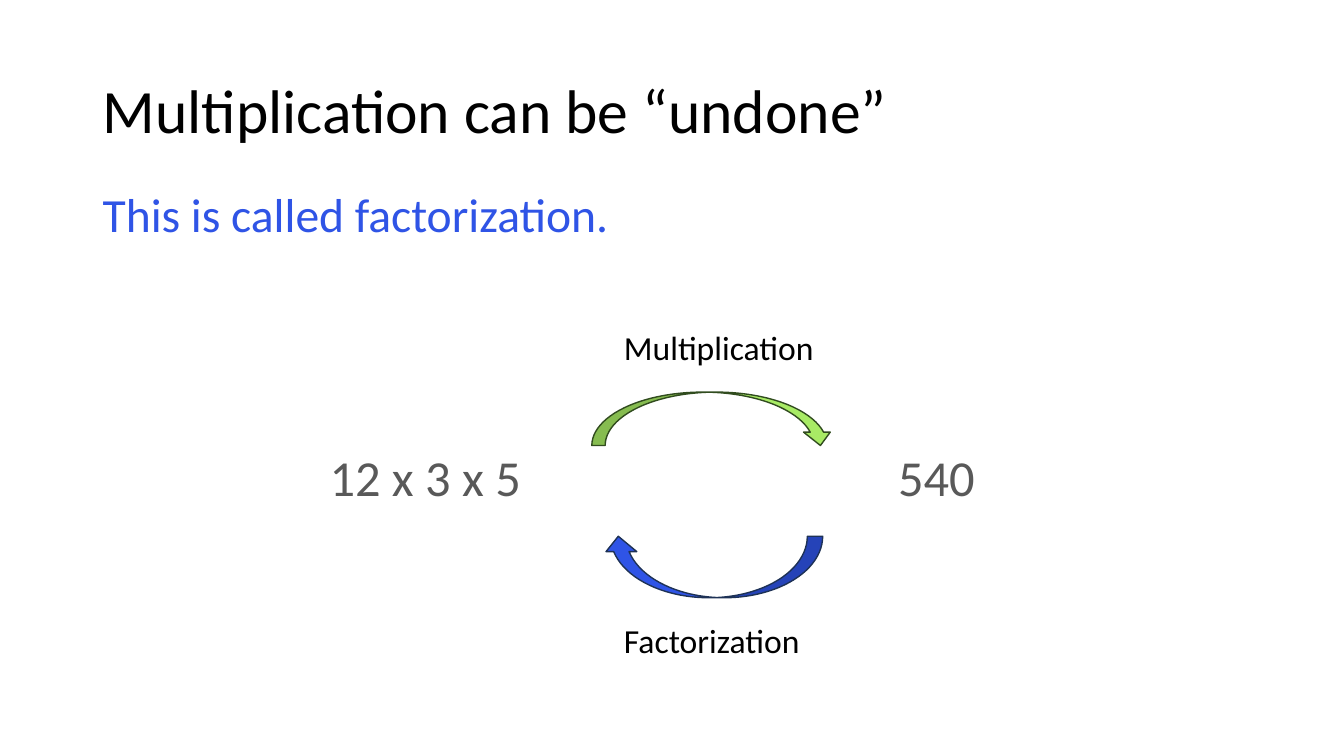
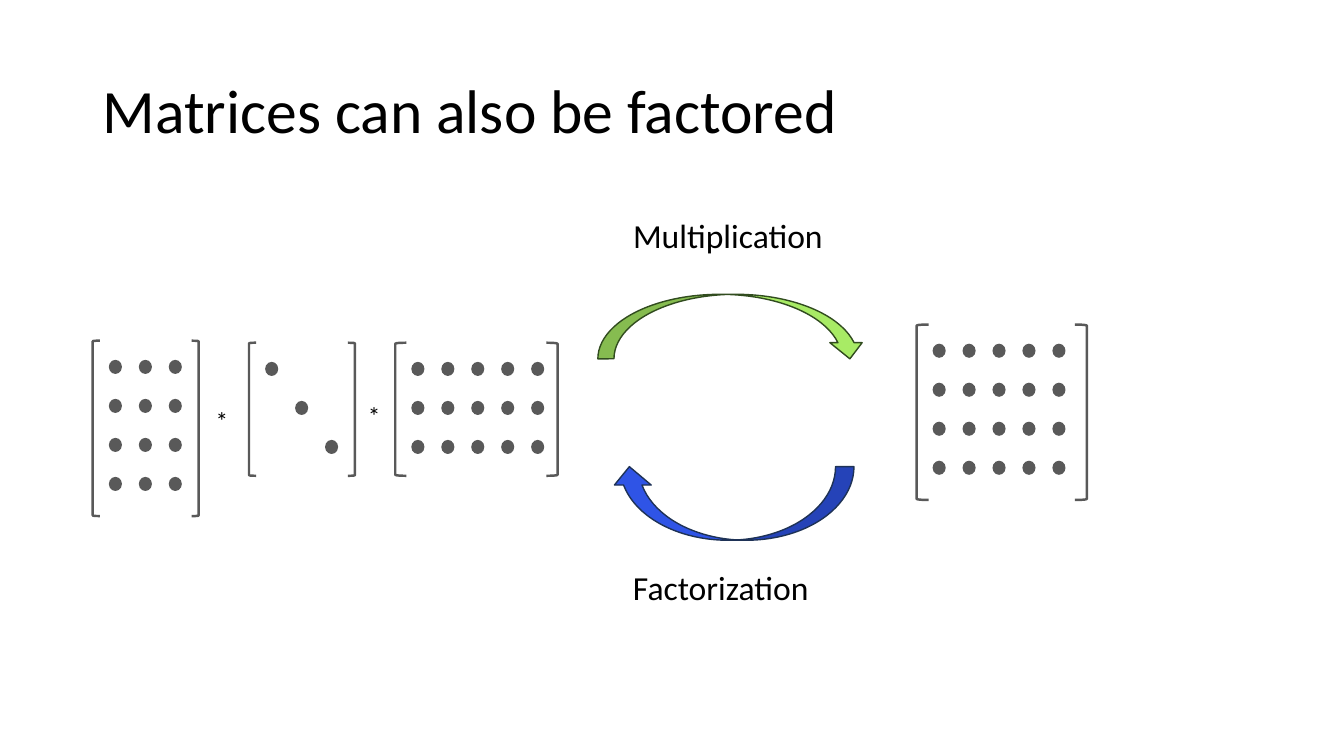
"""Build two slides showing factorization as the reverse of multiplication."""
from pptx import Presentation
from pptx.dml.color import RGBColor
from pptx.enum.shapes import MSO_SHAPE
from pptx.enum.text import MSO_ANCHOR
from pptx.util import Inches, Pt

FONT = "Calibri"
BLACK = RGBColor(0x00, 0x00, 0x00)
GRAY = RGBColor(0x59, 0x59, 0x59)
BLUE = RGBColor(0x2F, 0x54, 0xE6)
NAVY = RGBColor(0x1E, 0x32, 0x56)
LIME = RGBColor(0xA8, 0xEB, 0x65)
DARK_GREEN = RGBColor(0x31, 0x4C, 0x1F)

DOT_WIDTH, DOT_HEIGHT = 0.13, 0.14
COLUMN_STEP, ROW_STEP = 0.297, 0.387
DOT_INSET_X, DOT_INSET_Y = 0.16, 0.19


def add_text(page, text, area, size, color=BLACK, spacing=1.0, anchor=MSO_ANCHOR.TOP):
    box = page.shapes.add_textbox(*[Inches(length) for length in area])
    frame = box.text_frame
    frame.word_wrap = True
    frame.vertical_anchor = anchor
    frame.text = text
    para = frame.paragraphs[0]
    para.line_spacing = spacing
    font = para.runs[0].font
    font.name, font.size, font.color.rgb = FONT, Pt(size), color


def add_figure(shapes, kind, area, fill=None, line=None, weight=1):
    shape = shapes.add_shape(kind, *[Inches(length) for length in area])
    shape.shadow.inherit = False
    if fill is None:
        shape.fill.background()
    else:
        shape.fill.solid()
        shape.fill.fore_color.rgb = fill
    if line is None:
        shape.line.fill.background()
    else:
        shape.line.color.rgb = line
        shape.line.width = Pt(weight)
    return shape


deck = Presentation()
deck.slide_width, deck.slide_height = Inches(13.33), Inches(7.5)

cycles = [
    ("Multiplication can be “undone”",
     (6.09, 3.19, 2.18, 0.5), (5.87, 3.89, 2.4, 0.53),
     (5.98, 5.32, 2.18, 0.61), (6.09, 6.1, 1.95, 0.5)),
    ("Matrices can also be factored",
     (6.18, 2.08, 2.41, 0.61), (5.93, 2.92, 2.66, 0.64),
     (6.06, 4.63, 2.41, 0.73), (6.18, 5.57, 2.17, 0.61)),
]
for title, upper_label, upper_arrow, lower_arrow, lower_label in cycles:
    page = deck.slides.add_slide(deck.slide_layouts[6])
    add_text(page, title, (0.92, 0.4, 11.5, 1.45), 44, spacing=0.9, anchor=MSO_ANCHOR.MIDDLE)
    add_text(page, "Multiplication", upper_label, 24)
    add_figure(page.shapes, MSO_SHAPE.CURVED_DOWN_ARROW, upper_arrow, LIME, DARK_GREEN)
    backward = add_figure(page.shapes, MSO_SHAPE.CURVED_UP_ARROW, lower_arrow, BLUE, NAVY)
    backward._element.spPr.xfrm.set("flipH", "1")
    add_text(page, "Factorization", lower_label, 24)

number_page, matrix_page = deck.slides

add_text(number_page, "This is called factorization.", (0.92, 1.85, 11.5, 0.76), 34, BLUE, 0.9)
add_text(number_page, "12 x 3 x 5", (3.17, 4.38, 2.5, 0.71), 36, GRAY)
add_text(number_page, "540", (8.81, 4.38, 1.2, 0.71), 36, GRAY)

matrices = [
    (0.92, 3.38, 1.05, 1.74, 0.07, 4, 3, False),
    (2.47, 3.4, 1.05, 1.32, 0.07, 3, 3, True),
    (3.92, 3.4, 1.61, 1.32, 0.11, 3, 5, False),
    (9.09, 3.22, 1.69, 1.74, 0.12, 4, 5, False),
]
for left, top, width, height, bracket_width, rows, columns, diagonal in matrices:
    matrix = matrix_page.shapes.add_group_shape().shapes
    for bracket_left, rotation in ((left, 0), (left + width - bracket_width, 180)):
        bracket = add_figure(matrix, MSO_SHAPE.LEFT_BRACKET,
                             (bracket_left, top, bracket_width, height), line=GRAY, weight=1.75)
        bracket.rotation = rotation
    for row in range(rows):
        for column in range(columns):
            if row == column or not diagonal:
                dot_left = left + DOT_INSET_X + column * COLUMN_STEP
                dot_top = top + DOT_INSET_Y + row * ROW_STEP
                add_figure(matrix, MSO_SHAPE.OVAL, (dot_left, dot_top, DOT_WIDTH, DOT_HEIGHT), GRAY)

for left, top in ((2.04, 3.97), (3.55, 3.92)):
    add_text(matrix_page, "*", (left, top, 0.33, 0.4), 18)

deck.save("out.pptx")
